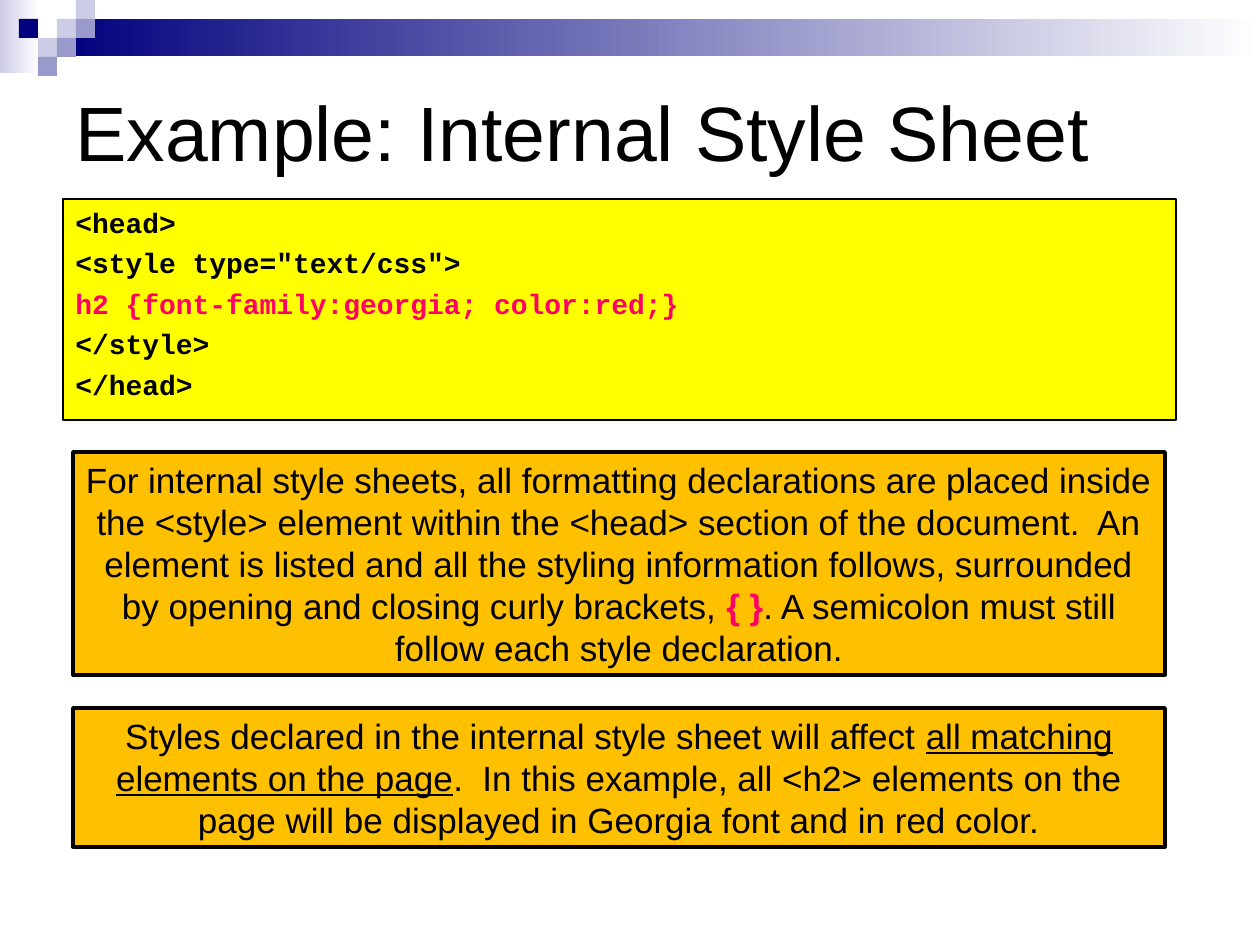
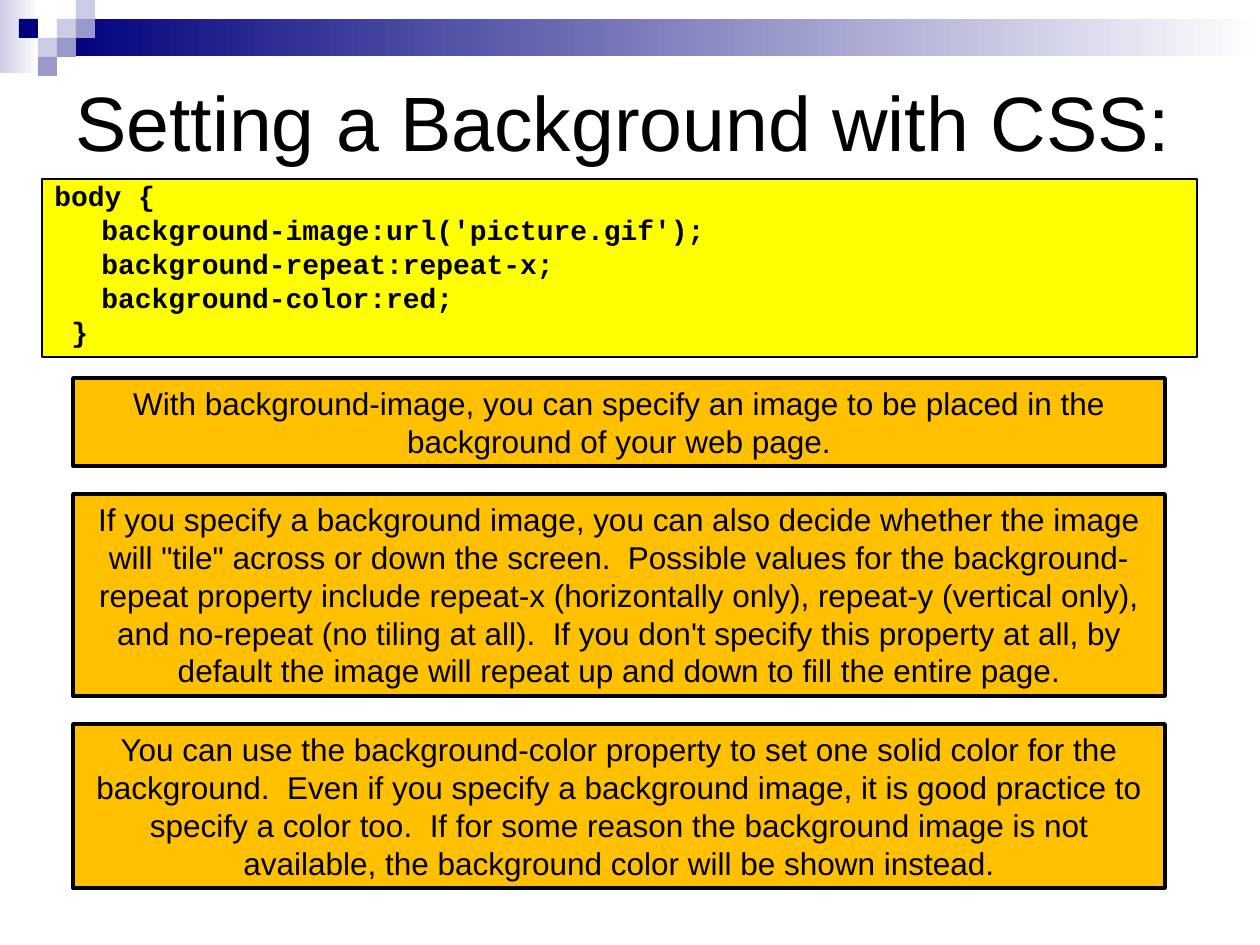
"""Build two slides about internal style sheets and CSS backgrounds."""
from pptx import Presentation
from pptx.dml.color import RGBColor
from pptx.enum.shapes import MSO_SHAPE
from pptx.enum.text import MSO_ANCHOR, MSO_AUTO_SIZE, PP_ALIGN
from pptx.util import Emu, Pt

RECT = MSO_SHAPE.RECTANGLE
TOP, MIDDLE = MSO_ANCHOR.TOP, MSO_ANCHOR.MIDDLE
LEFT, CENTER = PP_ALIGN.LEFT, PP_ALIGN.CENTER
GROW = MSO_AUTO_SIZE.SHAPE_TO_FIT_TEXT

EMU_PER_PX = 914400 / 126
SANS, MONO = "Arial", "Courier New"
BLACK, WHITE, PINK = "000000", "FFFFFF", "FF0066"
YELLOW, AMBER = "FFFF00", "FFC000"
NAVY, LILAC, PALE = "00007D", "9999CC", "CCCCE6"

SQUARE = 19
SQUARES = [(3, 1, PALE), (4, 0, PALE), (4, 1, LILAC), (2, 2, PALE),
           (1, 1, NAVY), (3, 2, LILAC), (2, 3, LILAC)]
NOTE_LEFT, NOTE_WIDTH = 73, 1092
TAB, SPACE = 47, 17


def px(n):
    """Turn pixels into EMU."""
    return Emu(round(n * EMU_PER_PX))


def rgb(value):
    """Turn a hex string into a colour."""
    return RGBColor.from_string(value)


def style_run(r, size, font=SANS, color=BLACK, bold=False, underline=False):
    """Set the font of one run."""
    r.font.name = font
    r.font.size = Pt(size)
    r.font.color.rgb = rgb(color)
    r.font.bold = bold
    r.font.underline = underline


def add_rect(s, box, fill, line_width=0):
    """Add a rectangle with a plain fill, or a gradient for a colour pair."""
    sp = s.shapes.add_shape(RECT, *map(px, box))
    sp.shadow.inherit = False
    if isinstance(fill, tuple):
        sp.fill.gradient()
        sp.fill.gradient_angle = 0
        for stop, color in zip(sp.fill.gradient_stops, fill):
            stop.color.rgb = rgb(color)
    else:
        sp.fill.solid()
        sp.fill.fore_color.rgb = rgb(fill)
    if line_width:
        sp.line.color.rgb = rgb(BLACK)
        sp.line.width = Pt(line_width)
    else:
        sp.line.fill.background()
    sp.text_frame.word_wrap = True
    sp.text_frame.vertical_anchor = TOP
    return sp


def add_header(s):
    """Draw the gradient band and the checkered corner."""
    add_rect(s, (0, 0, 39, 73), (PALE, WHITE))
    add_rect(s, (3 * SQUARE, SQUARE, 1203, 2 * SQUARE - 1), (NAVY, WHITE))
    for col, row, color in SQUARES:
        add_rect(s, (col * SQUARE, row * SQUARE, SQUARE, SQUARE), color)


def add_title(s, text, top, height):
    """Add the slide title."""
    tf = s.shapes.add_textbox(*map(px, (63, top, 1134, height))).text_frame
    tf.word_wrap = True
    tf.vertical_anchor = MIDDLE
    tf.text = text
    style_run(tf.paragraphs[0].runs[0], 44)


def add_code(s, box, lines, spacing=1.0):
    """Add a code box from (text, indent, colour) lines."""
    tf = add_rect(s, box, YELLOW, 0.75).text_frame
    tf.text = "\n".join(text for text, _, _ in lines)
    for p, (_, indent, color) in zip(tf.paragraphs, lines):
        p.alignment = LEFT
        p.space_before = Pt(4)
        p.line_spacing = spacing
        p._p.get_or_add_pPr().set("marL", str(px(indent)))
        style_run(p.runs[0], 16, MONO, color, bold=True)


def add_note(s, top, height, size, *parts):
    """Add a centred note from (text, run style) parts."""
    sp = add_rect(s, (NOTE_LEFT, top, NOTE_WIDTH, height), AMBER, 2)
    sp.text_frame.auto_size = GROW
    p = sp.text_frame.paragraphs[0]
    p.alignment = CENTER
    for text, style in parts:
        r = p.add_run()
        r.text = text
        style_run(r, size, **style)


def add_slide(prs, title, top, height):
    """Add a blank slide with the shared header and a title."""
    s = prs.slides.add_slide(prs.slide_layouts[6])
    add_header(s)
    add_title(s, title, top, height)
    return s


def build_style_sheet(prs):
    """Build the internal style sheet slide."""
    s = add_slide(prs, "Example: Internal Style Sheet", 63, 136)
    add_code(s, (63, 199, 1113, 221), [
        ("<head>", 0, BLACK),
        ('<style type="text/css">', 0, BLACK),
        ("h2 {font-family:georgia; color:red;}", 0, PINK),
        ("</style>", 0, BLACK),
        ("</head>", 0, BLACK),
    ])
    add_note(
        s, 452, 223, 20,
        ("For internal style sheets, all formatting declarations are placed "
         "inside the <style> element within the <head> section of the "
         "document.  An element is listed and all the styling information "
         "follows, surrounded by opening and closing curly brackets, ", {}),
        ("{ }", {"color": PINK, "bold": True}),
        (". A semicolon must still follow each style declaration.", {}))
    add_note(
        s, 708, 139, 20,
        ("Styles declared in the internal style sheet will affect ", {}),
        ("all matching elements on the page", {"underline": True}),
        (".  In this example, all <h2> elements on the page will be "
         "displayed in Georgia font and in red color.", {}))


def build_background(prs):
    """Build the CSS background slide."""
    s = add_slide(prs, "Setting a Background with CSS:", 42, 157)
    add_code(s, (42, 179, 1155, 178), [
        ("body {", 0, BLACK),
        ("background-image:url('picture.gif');", TAB, BLACK),
        ("background-repeat:repeat-x;", TAB, BLACK),
        ("background-color:red;", TAB, BLACK),
        ("}", SPACE, BLACK),
    ], spacing=0.8)
    notes = [
        (378, 88,
         "With background-image, you can specify an image to be placed in "
         "the background of your web page."),
        (494, 202,
         "If you specify a background image, you can also decide whether the "
         'image will "tile" across or down the screen.  Possible values for '
         "the background-repeat property include repeat-x (horizontally "
         "only), repeat-y (vertical only), and no-repeat (no tiling at all).  "
         "If you don't specify this property at all, by default the image "
         "will repeat up and down to fill the entire page."),
        (724, 164,
         "You can use the background-color property to set one solid color "
         "for the background.  Even if you specify a background image, it is "
         "good practice to specify a color too.  If for some reason the "
         "background image is not available, the background color will be "
         "shown instead."),
    ]
    for top, height, text in notes:
        add_note(s, top, height, 18, (text, {}))


def main():
    """Build and save the presentation."""
    prs = Presentation()
    prs.slide_width, prs.slide_height = px(1260), px(945)
    build_style_sheet(prs)
    build_background(prs)
    prs.save("out.pptx")


if __name__ == "__main__":
    main()
